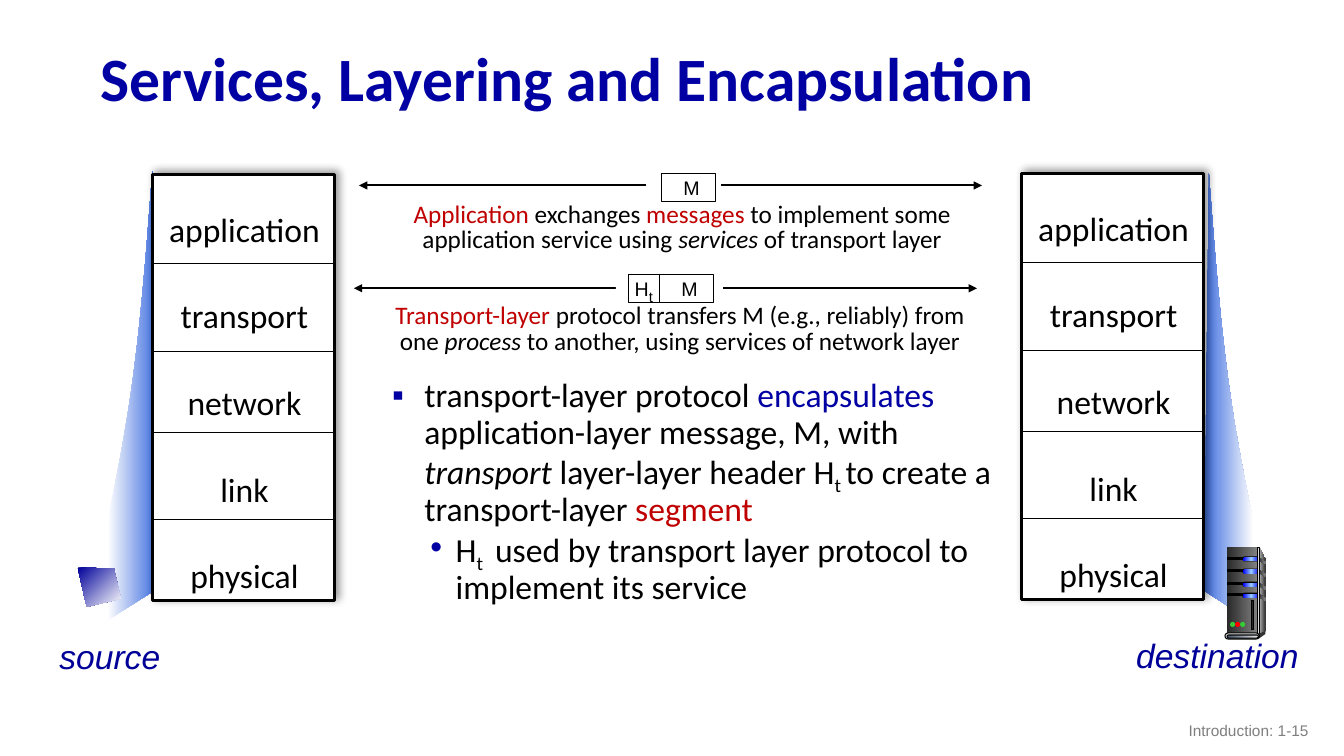
from dataclasses import dataclass
from typing import Any, Optional

from pptx import Presentation
from pptx.dml.color import RGBColor as RGB
from pptx.enum.shapes import MSO_CONNECTOR as CONNECTOR, MSO_SHAPE as SHAPE
from pptx.enum.text import MSO_ANCHOR as ANCHOR, MSO_AUTO_SIZE as AUTO, PP_ALIGN as ALIGN
from pptx.oxml import parse_xml
from pptx.oxml.ns import nsdecls, qn
from pptx.util import Emu, Pt

PX = 9144
BLACK = RGB(0, 0, 0)
WHITE = RGB(0xFF, 0xFF, 0xFF)
NAVY = RGB(0, 0, 0xA3)
INDIGO = RGB(0, 0, 0x99)
CRIMSON = RGB(0xC0, 0, 0)
GREY = RGB(0x7F, 0x7F, 0x7F)
SKY = RGB(0x3C, 0x6C, 0xDF)
COAL = RGB(0x29, 0x29, 0x29)
IRON = RGB(0x33, 0x33, 0x33)
STEEL = RGB(0x80, 0x80, 0x80)
SILVER = RGB(0xDD, 0xDD, 0xDD)
SLATE = RGB(0x44, 0x54, 0x6A)
MIST = RGB(0xE7, 0xE6, 0xE6)
BLUE = RGB(0, 0, 0xFF)
PALE_BLUE = RGB(0x99, 0xCC, 0xFF)
GREEN = RGB(0x33, 0xCC, 0x33)
RED = RGB(0xFF, 0, 0)

TITLE = {"name": "Calibri", "size": Pt(44), "bold": True}
BODY = {"name": "Calibri", "size": Pt(24)}
CAPTION = {"name": "Calibri", "size": Pt(18)}
HOST = {"name": "Arial", "size": Pt(24), "italic": True}
UNIT = {"name": "Arial", "size": Pt(14)}
FOOTER = {"name": "Arial", "size": Pt(11)}


@dataclass(frozen=True)
class Run:
    text: str
    color: RGB = BLACK
    italic: bool = False
    subscript: bool = False
    size: Optional[int] = None


@dataclass(frozen=True)
class Bullet:
    char: str
    margin: int
    hang: int
    level: int


@dataclass(frozen=True)
class Stack:
    left: int
    top: int


@dataclass(frozen=True)
class Exchange:
    arrow: tuple[int, int, int]
    mask: tuple[int, int, int, int]
    units: list[tuple[int, int, int, list[Run]]]
    caption_at: tuple[int, int, int, int]
    caption: list[Run]


def emu(*lengths: float) -> list[Emu]:
    return [Emu(round(length * PX)) for length in lengths]


def write(paragraph: Any, runs: list[Run], style: dict, align: ALIGN = ALIGN.LEFT,
          spacing: float = 1.0, bullet: Optional[Bullet] = None) -> None:
    if bullet:
        pPr = paragraph._p.get_or_add_pPr()
        pPr.set("marL", str(bullet.margin * PX))
        pPr.set("indent", str(-bullet.hang * PX))
        for xml in (f'<a:buClr {nsdecls("a")}><a:srgbClr val="{NAVY}"/></a:buClr>',
                    f'<a:buFont {nsdecls("a")} typeface="Arial"/>',
                    f'<a:buChar {nsdecls("a")} char="{bullet.char}"/>'):
            pPr.append(parse_xml(xml))
        paragraph.level = bullet.level
    paragraph.alignment = align
    paragraph.line_spacing = spacing
    for part in runs:
        run = paragraph.add_run()
        run.text = part.text
        values = dict(style)
        if part.italic:
            values["italic"] = True
        if part.size:
            values["size"] = Pt(part.size)
        for key, value in values.items():
            setattr(run.font, key, value)
        run.font.color.rgb = part.color
        if part.subscript:
            run._r.get_or_add_rPr().set("baseline", "-25000")


def add_text(slide: Any, at: tuple, paragraphs: list[list[Run]], style: dict,
             align: ALIGN = ALIGN.LEFT, spacing: float = 1.0, wrap: bool = True,
             bullets: tuple = (), anchor: ANCHOR = ANCHOR.TOP) -> None:
    frame = slide.shapes.add_textbox(*emu(*at)).text_frame
    frame.word_wrap = wrap
    frame.vertical_anchor = anchor
    for i, runs in enumerate(paragraphs):
        paragraph = frame.add_paragraph() if i else frame.paragraphs[0]
        write(paragraph, runs, style, align, spacing, bullets[i] if bullets else None)


def paint(shape: Any, colors: tuple, outline: float = 0, angle: int = 0) -> None:
    shape.shadow.inherit = False
    if len(colors) == 1:
        shape.fill.solid()
        shape.fill.fore_color.rgb = colors[0]
    else:
        shape.fill.gradient()
        shape.fill.gradient_angle = -angle % 360
        stops = shape._element.spPr.find(qn("a:gradFill")).find(qn("a:gsLst"))
        for stop in list(stops):
            stops.remove(stop)
        for i, color in enumerate(colors):
            position = 100000 * i // (len(colors) - 1)
            stops.append(parse_xml(f'<a:gs {nsdecls("a")} pos="{position}">'
                                   f'<a:srgbClr val="{color}"/></a:gs>'))
    if outline:
        shape.line.color.rgb = BLACK
        shape.line.width = Pt(outline)
    else:
        shape.line.fill.background()


def add_block(slide: Any, kind: SHAPE, at: tuple, *colors: RGB, outline: float = 0) -> Any:
    block = slide.shapes.add_shape(kind, *emu(*at))
    if kind == SHAPE.ROUNDED_RECTANGLE:
        block.adjustments[0] = 0.5
    paint(block, colors, outline)
    return block


def add_outline(slide: Any, points: list, *colors: RGB, angle: int = 0) -> None:
    start, *rest = [emu(*point) for point in points]
    builder = slide.shapes.build_freeform(*start, scale=1.0)
    builder.add_line_segments(rest, close=True)
    paint(builder.convert_to_shape(), colors, angle=angle)


def add_line(slide: Any, start: tuple, end: tuple, width: float, arrows: bool = False) -> None:
    line = slide.shapes.add_connector(CONNECTOR.STRAIGHT, *emu(*start, *end))
    line.line.color.rgb = BLACK
    line.line.width = Pt(width)
    if arrows:
        for tag in ("headEnd", "tailEnd"):
            line.line._get_or_add_ln().append(
                parse_xml(f'<a:{tag} {nsdecls("a")} type="triangle"/>'))
    line._element.spPr.append(parse_xml(f'<a:effectLst {nsdecls("a")}/>'))


def add_beam(slide: Any, edge: int, top: int, side: int, *colors: RGB) -> None:
    curve = [(5, 0), (18, 179), (26, 234), (49, 345)]
    weights = [((1 - t) ** 3, 3 * t * (1 - t) ** 2, 3 * t * t * (1 - t), t ** 3)
               for t in (i / 24 for i in range(25))]
    arc = [tuple(sum(w * p[axis] for w, p in zip(ws, curve)) for axis in (0, 1))
           for ws in weights]
    add_outline(slide, [(edge + side * x, top + y) for x, y in [*arc, (49, 445), (0, 414)]],
                *colors)


def add_stack(slide: Any, stack: Stack) -> None:
    left, top = stack.left, stack.top
    box = add_block(slide, SHAPE.RECTANGLE, (left, top, 181, 423), WHITE, outline=2.25)
    box._element.spPr.find(qn("a:effectLst")).append(parse_xml(
        f'<a:outerShdw {nsdecls("a")} blurRad="76200" dist="38100" dir="18900000">'
        f'<a:srgbClr val="{BLACK}"><a:alpha val="40000"/></a:srgbClr></a:outerShdw>'))
    layers = ["application", "transport", "network", "link", "physical"]
    add_text(slide, (left - 5, top - 17, 193, 441), [[Run(layer)] for layer in layers],
             BODY, ALIGN.CENTER, 2.15)
    for offset in (88, 176, 256, 342):
        add_line(slide, (left, top + offset), (left + 180, top + offset), 0.5)


def add_server(slide: Any) -> None:
    add_outline(slide, [(1249, 543), (1255, 554), (1255, 626), (1247, 630)], SILVER, IRON)
    add_block(slide, SHAPE.RECTANGLE, (1217, 543, 30, 87), COAL, STEEL)
    for y in (553, 565, 578, 589):
        add_block(slide, SHAPE.RECTANGLE, (1217, y, 17, 2), BLACK, outline=0.75)
        add_block(slide, SHAPE.ROUNDED_RECTANGLE, (1232, y - 1, 17, 5), BLACK)
        add_block(slide, SHAPE.ROUNDED_RECTANGLE, (1233, y, 16, 4), BLUE, PALE_BLUE, BLUE)
        add_outline(slide, [(1248, y), (1255, y + 4), (1255, y + 7), (1248, y + 3)],
                    COAL, STEEL)
    add_block(slide, SHAPE.RECTANGLE, (1247, 543, 2, 87), IRON, SILVER, IRON, outline=0.75)
    add_outline(slide, [(1248, 629), (1248, 634), (1255, 629), (1255, 626)], IRON)
    add_block(slide, SHAPE.ROUNDED_RECTANGLE, (1215, 628, 34, 6), SILVER, outline=0.75)
    add_block(slide, SHAPE.ROUNDED_RECTANGLE, (1217, 630, 31, 3), SLATE, MIST, outline=0.75)
    for i, light in enumerate((GREEN, RED, GREEN)):
        add_block(slide, SHAPE.OVAL, (1220 + 5 * i, 617, 5, 5), light)
    add_block(slide, SHAPE.RECTANGLE, (1241, 596, 2, 29), COAL, outline=0.75)


def add_exchange(slide: Any, exchange: Exchange) -> None:
    left, right, y = exchange.arrow
    add_line(slide, (left, y), (right, y), 1.5, arrows=True)
    add_block(slide, SHAPE.RECTANGLE, exchange.mask, WHITE)
    for x, width, inset, runs in exchange.units:
        unit = add_block(slide, SHAPE.RECTANGLE, (x, y - 14 + (y < 200) * 2, width, 28), WHITE, outline=0.75)
        frame = unit.text_frame
        margins = {"margin_left": Emu(inset * PX), "margin_right": 0, "margin_top": 0,
                   "margin_bottom": 0, "word_wrap": False, "vertical_anchor": ANCHOR.MIDDLE}
        for key, value in margins.items():
            setattr(frame, key, value)
        write(frame.paragraphs[0], runs, UNIT, ALIGN.CENTER)
    add_text(slide, exchange.caption_at, [exchange.caption], CAPTION, ALIGN.CENTER, 0.85)


EXCHANGES = [
    Exchange((356, 974, 184), (641, 163, 74, 43), [(656, 54, 6, [Run("M")])],
             (369, 196, 615, 62),
             [Run("Application ", CRIMSON), Run("exchanges "), Run("messages", CRIMSON),
              Run(" to implement some application service using "),
              Run("services", italic=True), Run(" of transport layer")]),
    Exchange((351, 969, 286), (611, 259, 106, 43),
             [(623, 31, 0, [Run("H"), Run("t", subscript=True, size=18)]),
              (654, 54, 6, [Run("M")])],
             (367, 297, 615, 62),
             [Run("Transport-layer ", CRIMSON),
              Run("protocol transfers M (e.g., reliably) from one "),
              Run("process", italic=True),
              Run(" to another, using services of network layer")]),
]
ENCAPSULATION = [
    [Run("transport-layer protocol "), Run("encapsulates", NAVY),
     Run(" application-layer message, M, with "), Run("transport", italic=True),
     Run(" layer-layer header H"), Run("t ", subscript=True),
     Run("to create a transport-layer "), Run("segment", CRIMSON)],
    [Run("H"), Run("t ", subscript=True),
     Run(" used by transport layer protocol to implement its service")],
]


def main() -> None:
    deck = Presentation()
    deck.slide_width, deck.slide_height = emu(1333, 750)
    slide = deck.slides.add_slide(deck.slide_layouts[5])
    title = slide.shapes.title
    title.left, title.top, title.width, title.height = emu(90, 32, 1150, 98)
    for key, value in {"auto_size": AUTO.NONE, "vertical_anchor": ANCHOR.MIDDLE,
                       "word_wrap": True}.items():
        setattr(title.text_frame, key, value)
    write(title.text_frame.paragraphs[0],
          [Run("Services, Layering and Encapsulation", NAVY)], TITLE, spacing=0.9)
    add_beam(slide, 156, 170, -1, WHITE, SKY)
    add_beam(slide, 1194, 172, 1, SKY, WHITE)
    add_outline(slide, [(77, 563), (113, 564), (120, 594), (86, 602)], INDIGO, WHITE, angle=45)
    for stack in (Stack(151, 173), Stack(1013, 172)):
        add_stack(slide, stack)
    add_server(slide)
    for exchange in EXCHANGES:
        add_exchange(slide, exchange)
    add_text(slide, (379, 371, 638, 228), ENCAPSULATION, BODY, spacing=0.9,
             bullets=(Bullet("▪", 32, 32, 0), Bullet("•", 63, 25, 1)))
    add_text(slide, (49, 626, 120, 50), [[Run("source", INDIGO)]], HOST, wrap=False)
    add_text(slide, (1117, 625, 183, 51), [[Run("destination", INDIGO)]], HOST, wrap=False)
    add_text(slide, (1008, 705, 300, 40), [[Run("Introduction: 1-15", GREY)]], FOOTER,
             ALIGN.RIGHT, anchor=ANCHOR.MIDDLE)
    deck.save("out.pptx")


if __name__ == "__main__":
    main()
